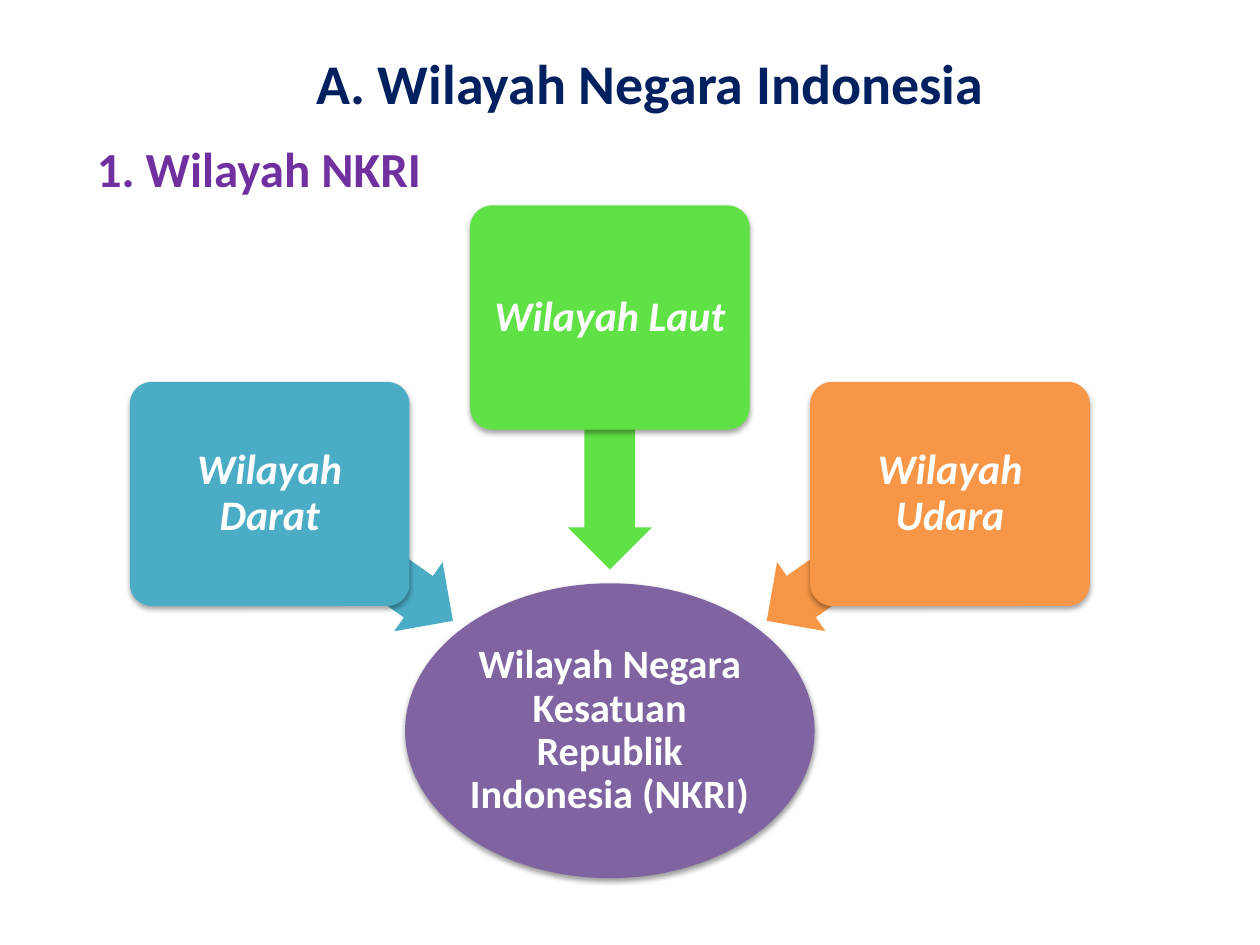
from dataclasses import dataclass

from lxml.etree import SubElement
from pptx import Presentation
from pptx.dml.color import RGBColor
from pptx.enum.shapes import MSO_SHAPE as Shape
from pptx.enum.text import MSO_ANCHOR as Anchor, PP_ALIGN as Align
from pptx.oxml.ns import qn
from pptx.shapes.autoshape import Shape as AutoShape
from pptx.slide import Slide
from pptx.util import Inches, Pt


@dataclass(frozen=True)
class Theme:
    font: str = "Calibri"
    navy: str = "002060"
    violet: str = "7030A0"
    purple: str = "8064A2"
    teal: str = "4BACC6"
    green: str = "60E146"
    orange: str = "F79646"
    white: str = "FFFFFF"
    title_size: float = 32
    subtitle_size: float = 28
    region_size: float = 24
    nation_size: float = 23


@dataclass(frozen=True)
class Region:
    """A territory box and the arrow that leads from it to the nation."""
    name: str
    color: str
    side: int  # -1 left, 0 middle, 1 right of the axis
    top: float
    arrow_center: tuple[float, float]  # offset from the axis, height on the page
    arrow_length: float
    angle: float


THEME = Theme()
AXIS = 4.84
REGION_STEP = 2.7
REGION_WIDTH, REGION_HEIGHT = 2.22, 1.78
ARROW_THICKNESS = 0.67
REGIONS = (
    Region("Wilayah Darat", THEME.teal, -1, 3.03, (-1.97, 4.42), 1.77, 215),
    Region("Wilayah Laut", THEME.green, 0, 1.63, (0, 3.52), 2, 270),
    Region("Wilayah Udara", THEME.orange, 1, 3.03, (1.97, 4.42), 1.77, 325),
)


def write(box: AutoShape, text: str, *, size: float, color: str, italic: bool = False,
          align: Align = Align.CENTER, line_spacing: float = 1.0,
          margin: float | None = None) -> None:
    frame = box.text_frame
    frame.word_wrap = True
    frame.vertical_anchor = Anchor.MIDDLE
    if margin is not None:
        frame.margin_left = frame.margin_right = Inches(margin)
        frame.margin_top = frame.margin_bottom = Inches(margin)
    para = frame.paragraphs[0]
    para.alignment = align
    para.line_spacing = line_spacing
    span = para.add_run()
    span.text = text
    font = span.font
    font.name, font.size = THEME.font, Pt(size)
    font.bold, font.italic = True, italic
    font.color.rgb = RGBColor.from_string(color)


def add_filled(page: Slide, kind: Shape, left: float, top: float, width: float,
               height: float, color: str) -> AutoShape:
    shape = page.shapes.add_shape(kind, Inches(left), Inches(top), Inches(width), Inches(height))
    shape.shadow.inherit = False
    shape.fill.solid()
    shape.fill.fore_color.rgb = RGBColor.from_string(color)
    shape.line.fill.background()
    return shape


def add_shadow(shape: AutoShape, distance: float, opacity: int) -> None:
    """Cast a soft shadow straight down; distance in points, opacity in percent."""
    effects = shape.element.spPr.find(qn("a:effectLst"))
    shadow = SubElement(effects, qn("a:outerShdw"), blurRad=str(Pt(3.15)),
                        dist=str(Pt(distance)), dir="5400000", rotWithShape="0")
    color = SubElement(shadow, qn("a:srgbClr"), val="000000")
    SubElement(color, qn("a:alpha"), val=str(opacity * 1000))


def add_heading(page: Slide, left: float, top: float, width: float, text: str, *,
                size: float, color: str, align: Align) -> None:
    box = page.shapes.add_textbox(Inches(left), Inches(top), Inches(width), Inches(1.31))
    write(box, text, size=size, color=color, align=align)


def add_nation(page: Slide) -> None:
    width = 3.25
    oval = add_filled(page, Shape.OVAL, AXIS - width / 2, 4.63, width, 2.34, THEME.purple)
    add_shadow(oval, distance=1.6, opacity=38)
    write(oval, "Wilayah Negara Kesatuan Republik Indonesia (NKRI)", size=THEME.nation_size,
          color=THEME.white, line_spacing=0.9, margin=0.02)


def add_region(page: Slide, region: Region) -> None:
    offset, middle = region.arrow_center
    arrow = add_filled(page, Shape.LEFT_ARROW, AXIS + offset - region.arrow_length / 2,
                       middle - ARROW_THICKNESS / 2, region.arrow_length, ARROW_THICKNESS,
                       region.color)
    arrow.adjustments[0], arrow.adjustments[1] = 0.6, 0.5
    arrow.rotation = region.angle

    left = AXIS + region.side * REGION_STEP - REGION_WIDTH / 2
    box = add_filled(page, Shape.ROUNDED_RECTANGLE, left, region.top, REGION_WIDTH,
                     REGION_HEIGHT, region.color)
    box.adjustments[0] = 0.1
    add_shadow(box, distance=1.8, opacity=35)
    write(box, region.name, size=THEME.region_size, color=THEME.white, italic=True,
          line_spacing=0.9, margin=0.05)


def main() -> None:
    deck = Presentation()
    deck.slide_width, deck.slide_height = Inches(10), Inches(7.5)
    page = deck.slides.add_slide(deck.slide_layouts[6])
    add_heading(page, 0.67, 0.68, 7.56, "1. Wilayah NKRI", size=THEME.subtitle_size,
                color=THEME.violet, align=Align.LEFT)
    add_nation(page)
    for region in REGIONS:
        add_region(page, region)
    add_heading(page, 0.91, 0, 8.5, "A. Wilayah Negara Indonesia", size=THEME.title_size,
                color=THEME.navy, align=Align.CENTER)
    deck.save("out.pptx")


if __name__ == "__main__":
    main()
